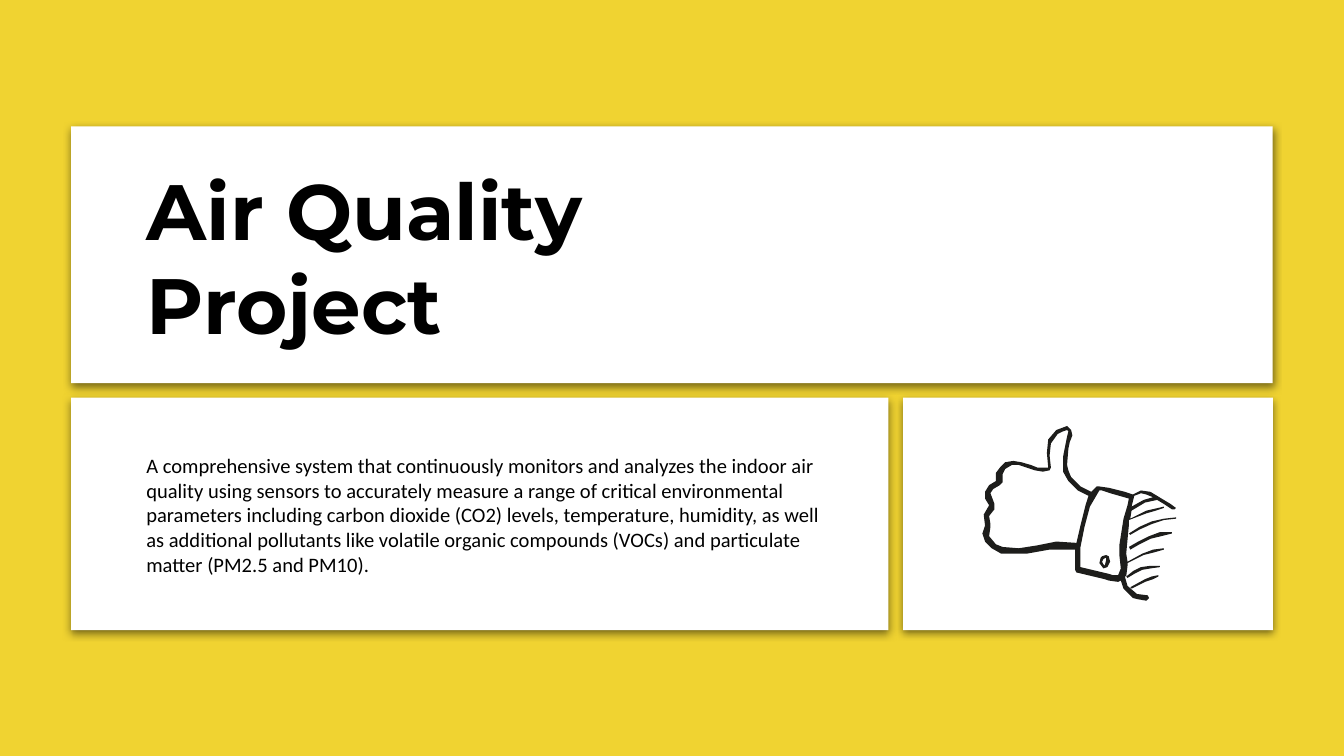
from pptx import Presentation
from pptx.dml.color import RGBColor
from pptx.enum.shapes import MSO_SHAPE
from pptx.enum.text import MSO_ANCHOR, MSO_AUTO_SIZE, PP_ALIGN
from pptx.oxml import parse_xml
from pptx.util import Pt

CARD = MSO_SHAPE.ROUNDED_RECTANGLE
MIDDLE = MSO_ANCHOR.MIDDLE
NO_FIT = MSO_AUTO_SIZE.NONE
LEFT = PP_ALIGN.LEFT

YELLOW = RGBColor(0xF0, 0xD3, 0x31)
WHITE = RGBColor(0xFF, 0xFF, 0xFF)
BLACK = RGBColor(0x00, 0x00, 0x00)
INK = RGBColor(0x1D, 0x1D, 0x1B)

PX = 9144  # 100 px to the inch
WIDTH = 1000

# Card grid
EDGE, TOP, GAP = 53, 94, 11
FULL = WIDTH - 2 * EDGE
WIDE = 608
UPPER, LOWER = 191, 173
INSET = 10

ABOUT = (
    "A comprehensive system that continuously monitors and analyzes the indoor "
    "air quality using sensors to accurately measure a range of critical "
    "environmental parameters including carbon dioxide (CO2) levels, "
    "temperature, humidity, as well as additional pollutants like volatile "
    "organic compounds (VOCs) and particulate matter (PM2.5 and PM10)."
)

SHADOW = (
    '<a:effectLst xmlns:a="http://schemas.openxmlformats.org/drawingml/2006/main">'
    '<a:outerShdw blurRad="57150" dist="19050" dir="5400000" algn="bl" '
    'rotWithShape="0"><a:srgbClr val="000000"><a:alpha val="50000"/>'
    "</a:srgbClr></a:outerShdw></a:effectLst>"
)

# Thumb drawing: rim first, then the holes cut out of it
RIM = [
    (794, 317), (786, 320), (780, 327), (779, 337), (780, 348), (772, 348),
    (767, 346), (760, 344), (754, 343), (748, 344), (744, 348), (741, 352),
    (741, 358), (736, 361), (733, 366), (733, 371), (736, 376), (732, 383),
    (733, 391), (731, 397), (733, 403), (738, 408), (745, 412),
    (764, 412), (781, 409), (800, 409), (800, 424), (801, 426), (822, 431),
    (825, 432), (832, 433), (834, 432), (836, 438), (843, 445), (847, 446),
    (853, 447), (855, 445), (854, 443), (846, 442), (839, 436), (837, 429),
    (838, 429), (839, 421), (839, 419), (851, 413), (859, 411), (866, 409),
    (866, 408), (858, 409), (850, 412), (839, 418), (838, 412), (840, 391),
    (840, 387), (853, 382), (860, 380), (866, 378), (866, 377), (853, 380),
    (841, 386), (842, 380), (852, 374), (861, 372), (866, 375), (872, 379),
    (874, 379), (875, 378), (871, 375), (866, 372), (856, 366), (849, 365),
    (843, 368), (837, 366), (825, 363), (818, 362), (816, 362), (812, 366),
    (804, 362), (797, 355), (795, 350), (794, 346), (795, 334), (796, 329),
    (798, 324), (797, 320),
]
HAND = [
    (794, 320), (795, 321), (794, 325), (793, 330), (791, 340), (791, 351),
    (795, 358), (802, 365), (810, 369), (808, 375), (804, 391), (801, 404),
    (786, 403), (771, 406), (758, 408), (746, 407), (741, 405), (736, 399),
    (737, 392), (737, 390), (736, 384), (740, 379), (740, 375), (737, 367),
    (739, 364), (744, 361), (746, 359), (746, 353), (748, 349), (753, 346),
    (758, 346), (761, 347), (770, 350), (776, 351), (781, 350), (782, 348),
    (781, 339), (782, 330), (787, 323), (791, 321),
]
CUFF = [
    (820, 365), (826, 367), (840, 371), (839, 376), (836, 386), (833, 405),
    (833, 414), (834, 423), (832, 428), (828, 428), (825, 427), (804, 422),
    (804, 407), (807, 392), (811, 377), (818, 365),
]
SLEEVE = [(853, 368), (858, 370), (851, 372), (842, 377), (844, 369), (849, 367)]
BUTTON = [
    (823, 413), (820, 414), (819, 415), (818, 419), (821, 423), (824, 422),
    (826, 418), (825, 414),
]
EYE = [(823, 415), (823, 417), (822, 421), (821, 420), (820, 418), (821, 416)]

# Hatching on the sleeve, one outline a stroke
HATCH = [
    [(875, 385), (866, 386), (857, 388), (848, 392), (840, 397), (841, 398),
     (848, 394), (857, 390), (866, 387), (875, 386)],
    [(872, 396), (863, 396), (855, 399), (847, 403), (840, 407), (841, 409),
     (848, 405), (856, 401), (864, 399), (872, 397)],
    [(863, 421), (856, 421), (849, 422), (843, 425), (838, 429), (839, 430),
     (844, 427), (850, 424), (856, 423), (863, 422)],
    [(862, 428), (857, 429), (852, 431), (841, 437), (842, 438), (852, 433),
     (858, 431), (862, 429)],
]


def box(*sides):
    return [side * PX for side in sides]


def add_card(slide, *sides):
    card = slide.shapes.add_shape(CARD, *box(*sides))
    card.adjustments[0] = 0
    card.fill.solid()
    card.fill.fore_color.rgb = WHITE
    card.line.fill.background()
    card._element.spPr.append(parse_xml(SHADOW))


def set_text(shape, text, font, size, bold=False, color=BLACK):
    frame = shape.text_frame
    frame.word_wrap = True
    frame.auto_size = NO_FIT
    frame.vertical_anchor = MIDDLE
    frame.margin_left = frame.margin_right = INSET * PX
    frame.margin_top = frame.margin_bottom = INSET * PX
    para = frame.paragraphs[0]
    para.alignment = LEFT
    run = para.add_run()
    run.text = text
    run.font.name = font
    run.font.size = Pt(size)
    run.font.bold = bold
    run.font.color.rgb = color


def add_ink(group, rim, *holes):
    pen = group.shapes.build_freeform(*rim[0], scale=PX)
    pen.add_line_segments(rim[1:], close=True)
    for hole in holes:
        pen.move_to(*hole[0])
        pen.add_line_segments(hole[1:], close=True)
    shape = pen.convert_to_shape()
    shape.shadow.inherit = False
    shape.fill.solid()
    shape.fill.fore_color.rgb = INK
    shape.line.fill.background()


def add_thumb(slide):
    group = slide.shapes.add_group_shape()
    add_ink(group, RIM, HAND, CUFF, SLEEVE)
    add_ink(group, BUTTON, EYE)
    for stroke in HATCH:
        add_ink(group, stroke)


def main():
    deck = Presentation()
    deck.slide_width = WIDTH * PX
    deck.slide_height = WIDTH * PX * 9 // 16
    slide = deck.slides.add_slide(deck.slide_layouts[5])
    slide.background.fill.solid()
    slide.background.fill.fore_color.rgb = YELLOW

    # Cards
    low = TOP + UPPER + GAP
    side = EDGE + WIDE + GAP
    add_card(slide, EDGE, low, WIDE, LOWER)
    add_card(slide, EDGE, TOP, FULL, UPPER)
    add_card(slide, side, low, EDGE + FULL - side, LOWER)

    # Title, raised above the cards
    title = slide.shapes.title
    title.left, title.top, title.width, title.height = box(99, 120, 525, 141)
    set_text(title, "Air Quality Project", font="Montserrat", size=42, bold=True)
    slide.shapes._spTree.append(title._element)

    # Summary and drawing
    about = slide.shapes.add_textbox(*box(99, 336, 525, 94))
    set_text(about, ABOUT, font="Calibri", size=11)
    add_thumb(slide)

    deck.save("out.pptx")


if __name__ == "__main__":
    main()
